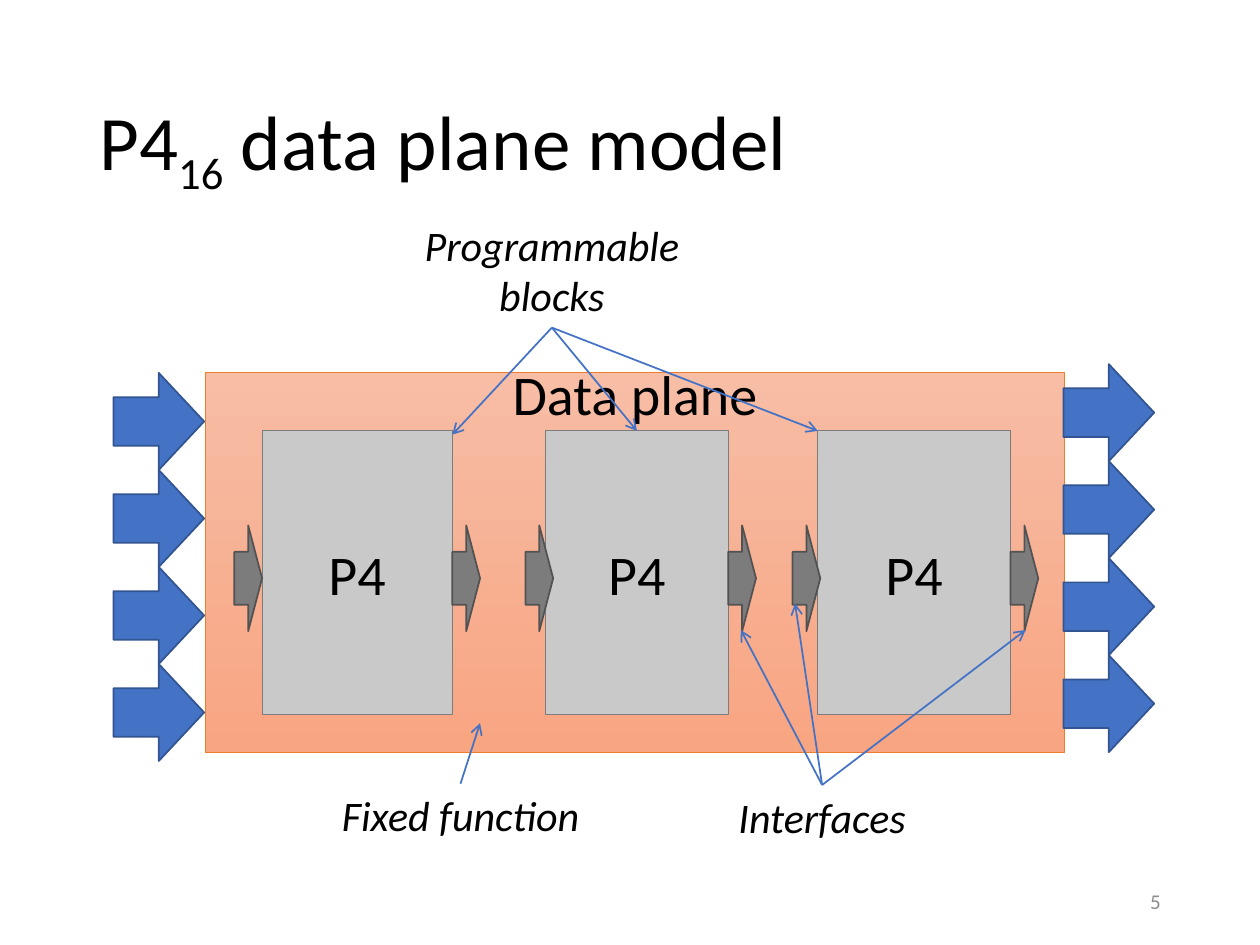
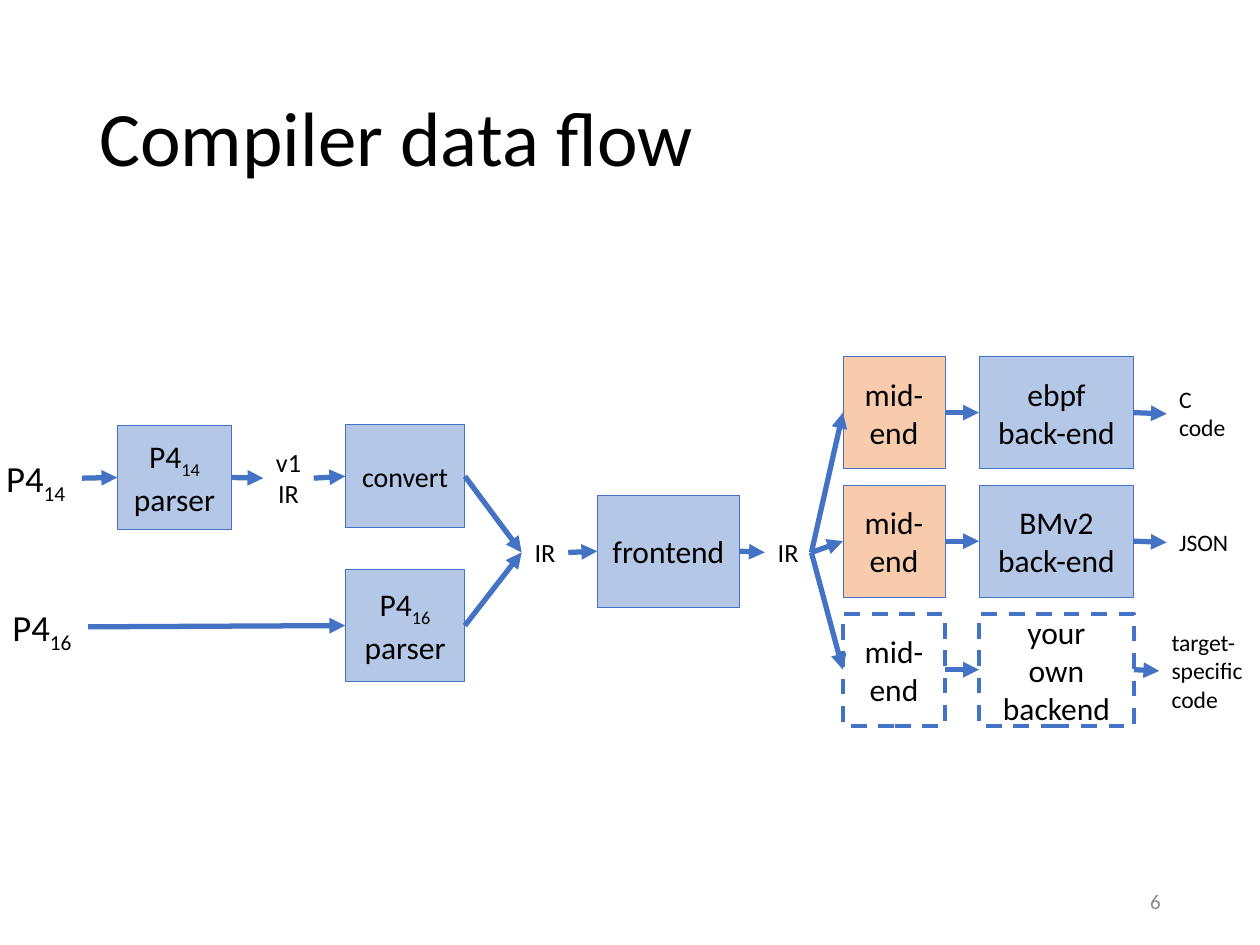
from dataclasses import dataclass

from lxml import etree
from pptx import Presentation
from pptx.dml.color import RGBColor
from pptx.enum import dml, shapes, text
from pptx.oxml.ns import qn
from pptx.util import Inches, Pt

TOP, LEFT, BOTTOM, RIGHT = range(4)
RECT = shapes.MSO_SHAPE.RECTANGLE
ARROW = shapes.MSO_SHAPE.RIGHT_ARROW
CENTER = text.PP_ALIGN.CENTER


@dataclass(frozen=True)
class Theme:
    font: str = "Calibri"
    ink: str = "000000"
    muted: str = "8C8C8C"
    blue: str = "4472C4"
    blue_edge: str = "325491"
    pale_blue: str = "B4C7E7"
    orange: str = "ED7D31"
    pale_orange: str = "F8CBAD"
    plane: tuple = ("F7BDA5", "F8A582")
    block: str = "C9C9C9"
    gray: str = "7C7C7C"
    gray_edge: str = "525252"
    title: float = 44
    heading: float = 32
    note: float = 24
    source: float = 21
    stage: float = 18
    convert: float = 16
    ir: float = 15
    output: float = 13.5
    number: float = 12


T = Theme()


def rgb(value):
    return RGBColor.from_string(value)


def write(sp, content, size=T.stage, color=T.ink, italic=False, align=CENTER,
          anchor=text.MSO_ANCHOR.MIDDLE, wrap=True, spacing=None):
    """Lines split on newline; ~ toggles subscript; | breaks a line."""
    tf = sp.text_frame
    tf.word_wrap = wrap
    tf.vertical_anchor = anchor
    for i, line in enumerate(content.split("\n")):
        p = tf.paragraphs[0] if i == 0 else tf.add_paragraph()
        p.alignment = align
        p.line_spacing = spacing
        for j, piece in enumerate(line.split("~")):
            for k, part in enumerate(piece.split("|")):
                if k:
                    p.add_line_break()
                if not part:
                    continue
                r = p.add_run()
                r.text = part
                r.font.name = T.font
                r.font.size = Pt(size)
                r.font.italic = italic
                r.font.color.rgb = rgb(color)
                if j % 2:
                    r.font._element.set("baseline", "-25000")
    return sp


def label(s, x, y, w, h, content, **fmt):
    sp = s.shapes.add_textbox(*map(Inches, (x, y, w, h)))
    return write(sp, content, **fmt)


def shape(s, kind, x, y, w, h, fill=None, edge=T.blue, width=0.5, dash=False):
    sp = s.shapes.add_shape(kind, *map(Inches, (x, y, w, h)))
    sp.shadow.inherit = False
    if fill:
        sp.fill.solid()
        sp.fill.fore_color.rgb = rgb(fill)
    else:
        sp.fill.background()
    sp.line.color.rgb = rgb(edge)
    sp.line.width = Pt(width)
    if dash:
        sp.line.dash_style = dml.MSO_LINE.DASH
    return sp


def arrow(s, start, end, width=1, head="arrow"):
    def spot(target):
        return (0, 0) if hasattr(target[0], "shape_id") else map(Inches, target)

    c = s.shapes.add_connector(shapes.MSO_CONNECTOR.STRAIGHT, *spot(start), *spot(end))
    for target, join in ((start, c.begin_connect), (end, c.end_connect)):
        if hasattr(target[0], "shape_id"):
            join(*target)
    c.line.color.rgb = rgb(T.blue)
    c.line.width = Pt(width)
    props = c._element.spPr
    etree.SubElement(props.find(qn("a:ln")), qn("a:tailEnd"), type=head)
    etree.SubElement(props, qn("a:effectLst"))


def flow(s, source, target):
    arrow(s, (source, RIGHT), (target, LEFT), width=3, head="triangle")


def new_slide(prs, title, number):
    s = prs.slides.add_slide(prs.slide_layouts[6])
    label(s, 0.69, 0.4, 8.62, 1.45, title, size=T.title,
          align=text.PP_ALIGN.LEFT, spacing=0.9)
    label(s, 7.06, 6.95, 2.25, 0.4, str(number), size=T.number,
          color=T.muted, align=text.PP_ALIGN.RIGHT)
    return s


def packet_arrows(s, x, y):
    w, h = 0.72, 0.77
    for row in range(4):
        shape(s, ARROW, x, y + row * h, w, h, T.blue, T.blue_edge, 1)


def data_plane(s, x, y, w, h):
    plane = shape(s, RECT, x, y, w, h, edge=T.orange)
    plane.fill.gradient()
    plane.fill.gradient_angle = 270
    for stop, color in zip(plane.fill.gradient_stops, T.plane):
        stop.color.rgb = rgb(color)
    plane.text_frame.margin_top = 0
    write(plane, "Data plane", size=T.heading, anchor=text.MSO_ANCHOR.TOP, spacing=0.8)

    packet_arrows(s, x - 0.73, y)
    packet_arrows(s, x + w - 0.01, y - 0.07)

    blocks = []
    for dx, block_w, lead in ((0.45, 1.51, 0.22), (2.7, 1.45, 0.16), (4.86, 1.53, 0.2)):
        block = shape(s, RECT, x + dx, y + 0.46, block_w, 2.25, T.block, T.gray)
        blocks.append(write(block, "P4", size=T.heading))
        for port_x in (dx - lead, dx + block_w):
            shape(s, ARROW, x + port_x, y + 1.21, 0.22, 0.84, T.gray, T.gray_edge, 1)
    return blocks


def plane_notes(s, x, y, blocks):
    def note(dx, dy, w, h, content):
        return label(s, x + dx, y + dy, w, h, content, size=T.note, italic=True,
                     anchor=text.MSO_ANCHOR.TOP, wrap=False)

    programmable = note(1.59, -1.27, 2.32, 0.91, "Programmable|blocks")
    for end in ((x + 1.96, y + 0.49), (blocks[1], TOP), (x + 4.86, y + 0.46)):
        arrow(s, (programmable, BOTTOM), end)

    fixed = note(0.93, 3.26, 2.19, 0.5, "Fixed function")
    arrow(s, (fixed, TOP), (x + 2.18, y + 2.78))

    interfaces = note(4.12, 3.27, 1.55, 0.5, "Interfaces")
    for dx, dy in ((4.68, 1.83), (4.25, 2.04), (6.51, 2.04)):
        arrow(s, (interfaces, TOP), (x + dx, y + dy))


def stage(s, x, y, w, h, content, fill=T.pale_blue, size=T.stage):
    width = 0.5 if fill else 2.25
    sp = shape(s, RECT, x, y, w, h, fill, width=width, dash=not fill)
    return write(sp, content, size=size)


def data_label(s, x, y, w, h, content, size=T.ir, align=CENTER, wrap=False):
    return label(s, x, y, w, h, content, size=size, align=align, wrap=wrap,
                 anchor=text.MSO_ANCHOR.TOP)


def front_end(s, x, y):
    left = text.PP_ALIGN.LEFT
    p4_14 = data_label(s, x - 0.05, y + 0.2, 0.7, 0.45, "P4~14~", T.source, left)
    p4_16 = data_label(s, x, y + 1.38, 0.7, 0.45, "P4~16~", T.source, left)
    parser_14 = stage(s, x + 0.93, y + 0.01, 0.91, 0.82, "P4~14~\nparser")
    v1_ir = data_label(s, x + 2.09, y + 0.12, 0.4, 0.61, "v1|IR")
    convert = stage(s, x + 2.74, y, 0.95, 0.82, "convert", size=T.convert)
    parser_16 = stage(s, x + 2.74, y + 1.15, 0.95, 0.89, "P4~16~\nparser")
    ir = data_label(s, x + 4.14, y + 0.84, 0.37, 0.35, "IR")
    frontend = stage(s, x + 4.74, y + 0.56, 1.13, 0.89, "frontend")
    final_ir = data_label(s, x + 6.07, y + 0.84, 0.37, 0.35, "IR")

    for chain in ((p4_14, parser_14, v1_ir, convert, ir, frontend, final_ir),
                  (p4_16, parser_16, ir)):
        for source, target in zip(chain, chain[1:]):
            flow(s, source, target)
    return final_ir


def back_ends(s, x, y, ir):
    h, pitch = 0.89, 1.02
    rows = (
        ("ebpf\nback-end", T.pale_orange, T.pale_blue, "C code", 2.57, 0.67, 0.56),
        ("BMv2\nback-end", T.pale_orange, T.pale_blue, "JSON", 2.57, 0.67, 0.33),
        ("your|own|backend", None, None, "target-|specific\ncode", 2.51, 0.8, 0.78),
    )
    for i, (name, mid_fill, fill, result, result_x, result_w, result_h) in enumerate(rows):
        top = y + i * pitch
        mid = stage(s, x, top, 0.81, h, "mid-|end", mid_fill)
        back = stage(s, x + 1.08, top, 1.23, h, name, fill)
        output = data_label(s, x + result_x, top + (h - result_h) / 2 + 0.01,
                            result_w, result_h, result, T.output,
                            text.PP_ALIGN.LEFT, wrap=True)
        for source, target in ((ir, mid), (mid, back), (back, output)):
            flow(s, source, target)


def main():
    prs = Presentation()
    prs.slide_width, prs.slide_height = Inches(10), Inches(7.5)

    s = new_slide(prs, "P4~16~ data plane model", 5)
    blocks = data_plane(s, 1.63, 2.96, 6.82, 3.01)
    plane_notes(s, 1.63, 2.96, blocks)

    s = new_slide(prs, "Compiler data flow", 6)
    ir = front_end(s, 0, 3.37)
    back_ends(s, 6.69, 2.83, ir)

    prs.save("out.pptx")


if __name__ == "__main__":
    main()
